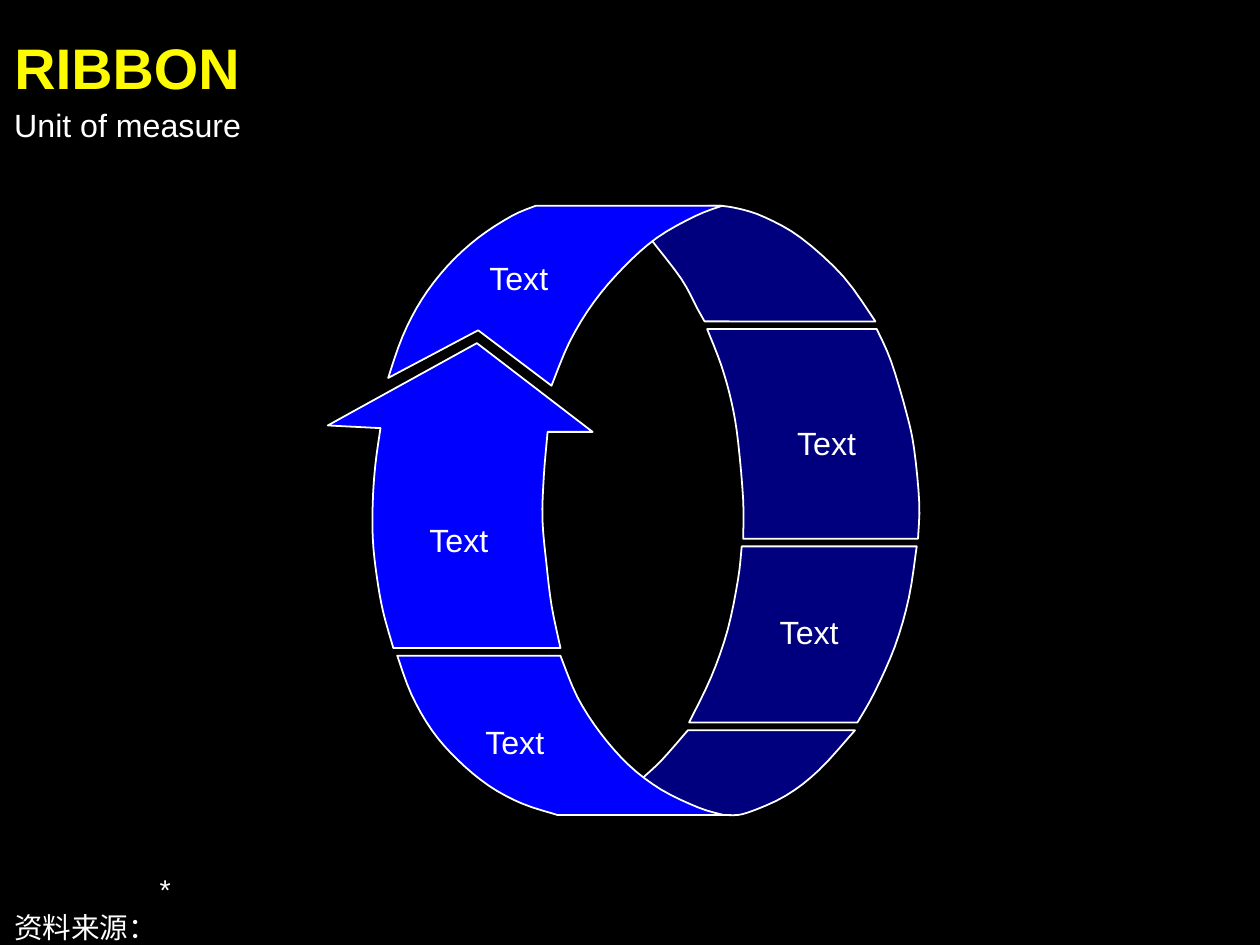
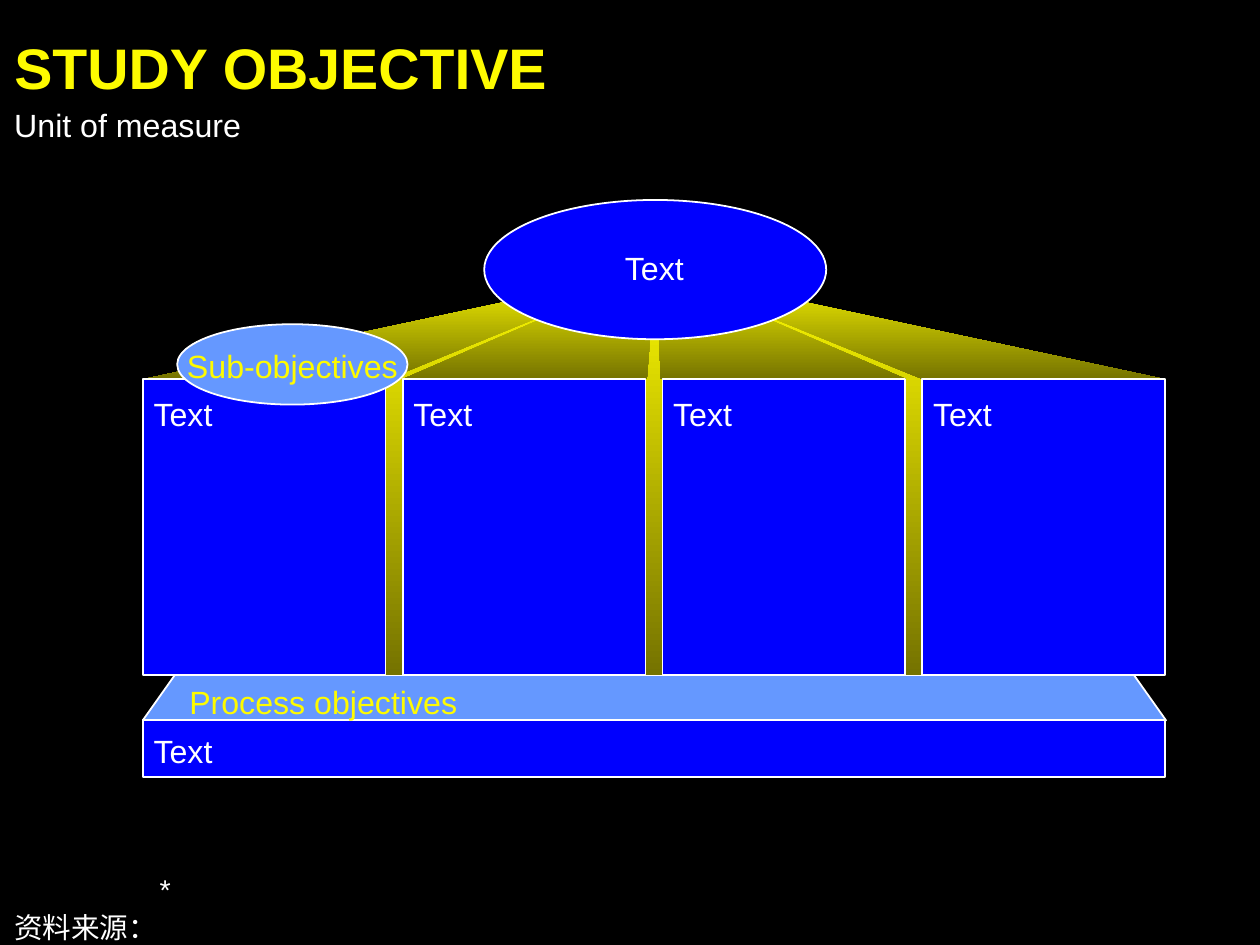
from lxml.etree import SubElement
from pptx import Presentation
from pptx.dml.color import RGBColor
from pptx.enum.shapes import MSO_SHAPE
from pptx.enum.text import MSO_ANCHOR, PP_ALIGN
from pptx.oxml.ns import qn
from pptx.util import Pt

COLORS = {
    "background": "000000",
    "heading": "FEFB00",
    "text": "FFFFFF",
    "front": "0000FE",
    "accent": "6598FF",
    "shade": "757300",
}
FONT = "Arial"


def rgb(name):
    return RGBColor.from_string(COLORS[name])


def write(paragraph, text, size=18, color="text", bold=False, align=PP_ALIGN.LEFT):
    paragraph.alignment = align
    run = paragraph.add_run()
    run.text = text
    run.font.name = FONT
    run.font.size = Pt(size)
    run.font.bold = bold
    run.font.color.rgb = rgb(color)


def smooth(points, steps=4):
    ends = [points[0], *points, points[-1]]
    curve = [points[0]]
    for a, b, c, d in zip(ends, ends[1:], ends[2:], ends[3:]):
        for step in range(1, steps + 1):
            t = step / steps
            curve.append(tuple(
                (2 * q + (r - p) * t + (2 * p - 5 * q + 4 * r - s) * t**2
                 + (3 * q - p - 3 * r + s) * t**3) / 2
                for p, q, r, s in zip(a, b, c, d)))
    return curve


class Deck:
    def __init__(self):
        self.prs = Presentation()
        self.prs.slide_width, self.prs.slide_height = Pt(705.6), Pt(529.2)
        backdrop = self.prs.slide_master.background.fill
        backdrop.solid()
        backdrop.fore_color.rgb = rgb("background")
        self.slide = None

    def start(self, title):
        self.slide = self.prs.slides.add_slide(self.prs.slide_layouts[6])
        self.text(title, 8, 18, 685, 38, size=32, color="heading", bold=True)
        self.text("Unit of measure", 8, 59, 521, 21.6)
        self.footer()

    def frame(self, left, top, width, height, anchor):
        box = self.slide.shapes.add_textbox(Pt(left), Pt(top), Pt(width), Pt(height))
        frame = box.text_frame
        frame.word_wrap = True
        frame.vertical_anchor = anchor
        frame.margin_left = frame.margin_right = 0
        frame.margin_top = frame.margin_bottom = 0
        return frame

    def text(self, text, left, top, width, height=21.6, anchor=MSO_ANCHOR.TOP, **style):
        write(self.frame(left, top, width, height, anchor).paragraphs[0], text, **style)

    def label(self, text, left, top, width, **style):
        self.text(text, left, top, width, anchor=MSO_ANCHOR.MIDDLE,
                  align=PP_ALIGN.CENTER, **style)

    def footer(self):
        frame = self.frame(8, 488.2, 678, 40.3, MSO_ANCHOR.BOTTOM)
        for index, line in enumerate(("\t*", "资料来源：")):
            paragraph = frame.add_paragraph() if index else frame.paragraphs[0]
            properties = paragraph._p.get_or_add_pPr()
            properties.set("marL", str(Pt(81.4)))
            properties.set("indent", str(-Pt(81.4)))
            tabs = SubElement(properties, qn("a:tabLst"))
            for position, side in ((0, "l"), (70.6, "r"), (128.2, "l")):
                SubElement(tabs, qn("a:tab"), pos=str(Pt(position)), algn=side)
            paragraph.space_after = Pt(2)
            write(paragraph, line, size=16)

    def paint(self, shape, fill, opacity=100):
        shape.shadow.inherit = False
        shape.fill.solid()
        shape.fill.fore_color.rgb = rgb(fill)
        if opacity < 100:
            color = shape._element.spPr.find(qn("a:solidFill"))[0]
            SubElement(color, qn("a:alpha"), val=str(opacity * 1000))
        shape.line.color.rgb = rgb("text")
        shape.line.width = Pt(1)

    def preset(self, kind, left, top, width, height, fill="front"):
        shape = self.slide.shapes.add_shape(
            kind, Pt(left), Pt(top), Pt(width), Pt(height))
        self.paint(shape, fill)

    def outline(self, points):
        corners = [(Pt(x), Pt(y)) for x, y in points]
        builder = self.slide.shapes.build_freeform(*corners[0], scale=1.0)
        builder.add_line_segments(corners[1:], close=True)
        return builder.convert_to_shape()

    def polygon(self, points, fill="front", opacity=100):
        self.paint(self.outline(points), fill, opacity)

    def ribbon(self, *edges, opacity=100):
        self.polygon([p for edge in edges for p in smooth(edge)], opacity=opacity)

    def glow(self, points):
        shape = self.outline(points)
        shape.shadow.inherit = False
        shape.line.fill.background()
        shape.fill.gradient()
        shape.fill.gradient_angle = 270
        for stop, name in zip(shape.fill.gradient_stops, ("heading", "shade")):
            stop.color.rgb = rgb(name)


def ribbon_slide(deck):
    deck.start("RIBBON")
    back_pieces = [
        ([(478.8, 409), (458.6, 431.3), (439.9, 445.7), (419, 455), (408.2, 456.5),
          (392.4, 455), (373.7, 448.6), (360, 435.6)],
         [(360, 435.6), (370.8, 425.5), (385.2, 409)]),
        ([(490.3, 180), (472.3, 154.8), (448.6, 133.2), (428.4, 121.7), (412.6, 116.6),
          (398.2, 115.2), (381.6, 118.1), (371.5, 125.3), (365, 134.6)],
         [(365, 134.6), (381.6, 156.2), (390.2, 172.1), (394.6, 180)]),
        ([(416.2, 301.7), (416.2, 280.1), (413.3, 247), (409.7, 225.4), (403.9, 204.5),
          (396, 184.3)],
         [(491, 184.3), (499, 202.3), (507.6, 231.1), (511.9, 251.3), (514.8, 281.5),
          (514.1, 301.7)]),
        ([(385.9, 404.6), (398.2, 379.4), (407.5, 352.8), (413.3, 324.7), (415.4, 306)],
         [(513.4, 306), (509, 334.8), (501.1, 362.2), (489.6, 388.1), (480.2, 404.6)]),
    ]
    arrow = (
        [(267.1, 192.2), (183.6, 238.3)],
        [(213.1, 239.8), (210.2, 260.6), (208.8, 280.8), (208.8, 301.7), (211, 322.6),
         (214.6, 342.7), (220.3, 362.9)],
        [(313.9, 362.9), (308.9, 339.1), (306, 315.4), (303.8, 290.9), (304.6, 266.4),
         (306.7, 241.9)],
        [(331.9, 241.9), (267.1, 192.2)],
    )
    front_top = (
        [(300.2, 115.2), (286.6, 121), (267.8, 133.2), (250.6, 149), (236.2, 167.8),
         (225.4, 188.6), (217.4, 211.7)],
        [(217.4, 211.7), (267.8, 185)],
        [(308.9, 216), (319, 191.5), (332.6, 169.2), (349.2, 149.8), (367.9, 133.2),
         (389.5, 121), (404.6, 115.2)],
    )
    front_bottom = (
        [(312.5, 456.5), (292.3, 450), (273.6, 439.9), (256.3, 425.5), (241.9, 409),
         (230.4, 388.8), (222.5, 367.2)],
        [(313.9, 367.2), (323.3, 390.2), (336.2, 410.4), (352.1, 428.4), (370.1, 442.1),
         (391, 452.2), (405.4, 456.5)],
    )
    for piece in back_pieces:
        deck.ribbon(*piece, opacity=50)
    for piece in (arrow, front_top, front_bottom):
        deck.ribbon(*piece)
    for left, top, width in ((251.3, 144.7, 78.5), (415.4, 237, 95), (406, 342.7, 94.3),
                             (238.3, 404.6, 100), (206.6, 291.6, 100.8)):
        deck.label("Text", left, top, width)


def objective_slide(deck):
    deck.start("STUDY OBJECTIVE")
    left, top, bottom, base = 80, 212.4, 378, 403.4
    column_width, pitch, column_count = 136, 145.5, 4
    total_width = pitch * (column_count - 1) + column_width
    right = left + total_width
    apex = (366.5, 151.2)

    deck.polygon([(left, base), (98, bottom), (635, bottom), (653, base)], "accent")
    deck.glow([(209.5, bottom), (523.4, bottom), (523.4, top), (apex[0], 150),
               (209.5, top)])
    deck.glow([(left, top), apex, (right, top), (517, top), apex, (507.6, top),
               (370.1, top), (367.2, 151.2), (362.2, top), (225.4, top), apex,
               (216.7, top)])
    for column in range(column_count):
        x = left + column * pitch
        deck.preset(MSO_SHAPE.RECTANGLE, x, top, column_width, bottom - top)
        deck.text("Text", x + 6, 221, 127)
    deck.preset(MSO_SHAPE.RECTANGLE, left, base, total_width, 31.7)
    deck.text("Text", left + 6, 409.7, 561)
    deck.text("Process objectives", 106, 382.3, 530, color="heading")
    deck.preset(MSO_SHAPE.OVAL, 271.2, 112, 191.5, 78)
    deck.label("Text", 278, 139, 177)
    deck.preset(MSO_SHAPE.OVAL, 99.2, 181.6, 129, 45, "accent")
    deck.label("Sub-objectives", 102, 193.8, 123.5, color="heading")


def main():
    deck = Deck()
    ribbon_slide(deck)
    objective_slide(deck)
    deck.prs.save("out.pptx")


if __name__ == "__main__":
    main()
